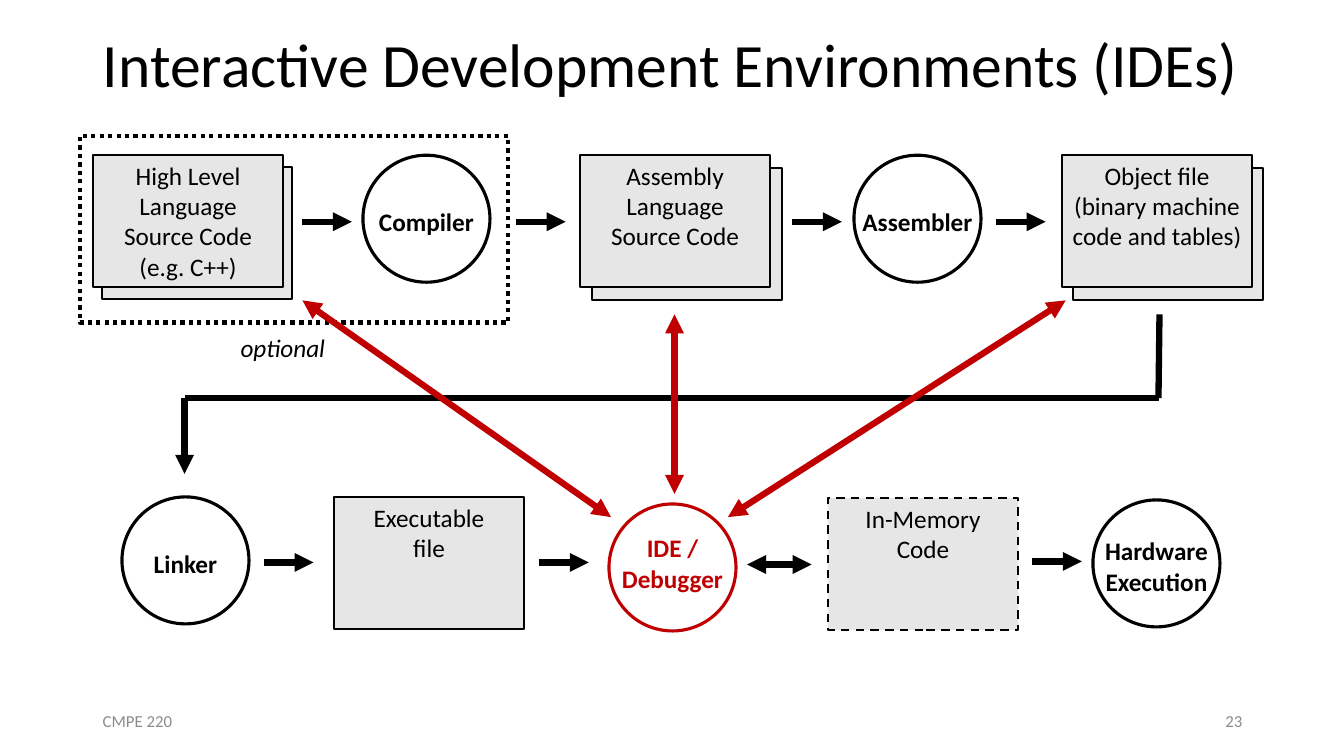
import dataclasses

import pptx
import pptx.dml.color
import pptx.enum.dml
import pptx.enum.shapes
import pptx.enum.text
import pptx.oxml
import pptx.oxml.ns
import pptx.util

Inches = pptx.util.Inches
Pt = pptx.util.Pt
Align = pptx.enum.text.PP_ALIGN
Anchor = pptx.enum.text.MSO_ANCHOR
Dash = pptx.enum.dml.MSO_LINE
Shape = pptx.enum.shapes.MSO_SHAPE


@dataclasses.dataclass(frozen=True)
class Theme:
    """Colours, type sizes and line widths of the slide."""
    font: str = "Calibri"
    ink: str = "000000"
    accent: str = "C00000"
    panel: str = "E7E6E6"
    muted: str = "8C8C8C"
    title: float = 44
    body: float = 18
    footer: float = 12
    panel_line: float = 1.5
    circle_line: float = 2.25
    group_line: float = 3
    arrow_line: float = 4.5


THEME = Theme()
FILE_W, FILE_H = 1.89, 1.31
CIRCLE = 1.26
TOP_ROW = 1.54
TOP_ARROWS = 2.2


def rgb(value):
    """Turn a hex string into a colour."""
    return pptx.dml.color.RGBColor.from_string(value)


def write(frame, text, size=THEME.body, color=THEME.ink, bold=False, italic=False,
          align=Align.CENTER, anchor=Anchor.TOP, wrap=True, spacing=None):
    """Put formatted text in a frame, one paragraph per line."""
    frame.text = text
    frame.word_wrap = wrap
    frame.auto_size = pptx.enum.text.MSO_AUTO_SIZE.NONE
    frame.vertical_anchor = anchor
    for paragraph in frame.paragraphs:
        paragraph.alignment = align
        paragraph.line_spacing = spacing
        for run in paragraph.runs:
            run.font.name = THEME.font
            run.font.size = Pt(size)
            run.font.bold = bold
            run.font.italic = italic
            run.font.color.rgb = rgb(color)


def add_label(slide, box, text, **style):
    """Add a text box at left, top, width, height."""
    label = slide.shapes.add_textbox(*map(Inches, box))
    write(label.text_frame, text, **style)


def add_outline(slide, kind, box, width, color=THEME.ink, fill=None, dash=None):
    """Add a preset shape with a line and an optional fill."""
    outline = slide.shapes.add_shape(kind, *map(Inches, box))
    outline.shadow.inherit = False
    if fill:
        outline.fill.solid()
        outline.fill.fore_color.rgb = rgb(fill)
    else:
        outline.fill.background()
    outline.line.color.rgb = rgb(color)
    outline.line.width = Pt(width)
    if dash:
        outline.line.dash_style = dash
    return outline


def add_file(slide, left, top, text, stack=None, dash=None):
    """Add a file panel, with a second sheet behind it at the stack offset."""
    offsets = [stack, (0, 0)] if stack else [(0, 0)]
    for dx, dy in offsets:
        sheet = add_outline(slide, Shape.RECTANGLE, (left + dx, top + dy, FILE_W, FILE_H),
                            THEME.panel_line, fill=THEME.panel, dash=dash)
    write(sheet.text_frame, text)


def add_step(slide, left, top, text, color=THEME.ink, label_shift=0.03, label_height=0.4):
    """Add a process circle with a bold label over its centre."""
    add_outline(slide, Shape.OVAL, (left, top, CIRCLE, CIRCLE), THEME.circle_line, color)
    label_top = top + (CIRCLE - label_height) / 2 + label_shift
    add_label(slide, (left, label_top, CIRCLE, label_height), text,
              color=color, bold=True, wrap=" " in text)


def add_flow(slide, start, end, color=THEME.ink, head=False, tail=True):
    """Add a thick line with triangle arrowheads at the chosen ends."""
    flow = slide.shapes.add_connector(pptx.enum.shapes.MSO_CONNECTOR.STRAIGHT,
                                      *map(Inches, (*start, *end)))
    flow.line.color.rgb = rgb(color)
    flow.line.width = Pt(THEME.arrow_line)
    stroke = flow.line._get_or_add_ln()
    for tag, wanted in (("a:headEnd", head), ("a:tailEnd", tail)):
        if wanted:
            arrowhead = pptx.oxml.ns.qn(tag)
            stroke.append(stroke.makeelement(arrowhead, {"type": "triangle"}))
    properties = flow._element.spPr
    properties.append(properties.makeelement(pptx.oxml.ns.qn("a:effectLst"), {}))


def add_flows(slide, lefts, y, length=0.49):
    """Add equal horizontal arrows along one height."""
    for left in lefts:
        add_flow(slide, (left, y), (left + length, y))


def build_title(slide, box):
    """Place and format the title."""
    title = slide.shapes.title
    title.left, title.top, title.width, title.height = map(Inches, box)
    write(title.text_frame, "Interactive Development Environments (IDEs)",
          size=THEME.title, align=Align.LEFT, anchor=Anchor.MIDDLE, spacing=0.9)


def build_translation(slide, left, top):
    """Build the upper row, from source code to object file."""
    add_file(slide, left, top, "High Level Language Source Code\v(e.g. C++)", stack=(0.09, 0.12))
    add_step(slide, left + 2.68, top, "Compiler")
    add_file(slide, left + 4.83, top, "Assembly Language Source Code", stack=(0.12, 0.13))
    add_step(slide, left + 7.55, top, "Assembler")
    add_file(slide, left + 9.61, top, "Object file\v(binary machine code and tables)",
             stack=(0.11, 0.13))
    add_flows(slide, [left + dx for dx in (2.08, 4.2, 6.94, 8.96)], TOP_ARROWS)
    add_outline(slide, Shape.RECTANGLE, (left - 0.13, top - 0.19, 4.25, 1.85),
                THEME.group_line, dash=Dash.ROUND_DOT)
    add_label(slide, (left + 1.36, top + 1.71, 1.05, 0.4), "optional", italic=True, wrap=False)


def build_execution(slide, left, top):
    """Build the lower row, from linker to hardware."""
    add_step(slide, left, top, "Linker")
    add_file(slide, left + 2.1, top, "Executable\nfile")
    add_step(slide, left + 4.83, top + 0.07, "IDE / Debugger", color=THEME.accent,
             label_shift=-0.04, label_height=0.71)
    add_file(slide, left + 7, top + 0.01, "In-Memory\nCode", dash=Dash.DASH)
    add_step(slide, left + 9.63, top + 0.03, "Hardware\vExecution", label_height=0.71)
    add_flows(slide, (left + 1.41, left + 4.14), top + 0.65)
    add_flows(slide, [left + 9.03], top + 0.64)
    add_flow(slide, (left + 6.2, top + 0.67), (left + 6.84, top + 0.67), head=True)


def build_links(slide):
    """Join the rows: object file to linker, and debugger to the sources."""
    add_flow(slide, (1.83, 3.95), (11.5, 3.95), tail=False)
    add_flow(slide, (11.5, 3.12), (11.49, 3.95), tail=False)
    add_flow(slide, (1.83, 3.95), (1.83, 4.7))
    for debugger, source in (((6.06, 5.13), (3, 2.98)),
                             ((7.22, 5.13), (10.57, 2.98)),
                             ((6.69, 4.9), (6.69, 3.12))):
        add_flow(slide, debugger, source, color=THEME.accent, head=True)


def build_footer(slide, left, top, width):
    """Add the course name and the slide number."""
    for text, x, align in (("CMPE 220", left, Align.LEFT),
                           ("23", left + width - 3, Align.RIGHT)):
        add_label(slide, (x, top, 3, 0.4), text, size=THEME.footer, color=THEME.muted,
                  align=align, anchor=Anchor.MIDDLE)


def main():
    """Build the slide and save it."""
    deck = pptx.Presentation()
    deck.slide_width, deck.slide_height = Inches(13.33), Inches(7.5)
    slide = deck.slides.add_slide(deck.slide_layouts[5])
    build_title(slide, (0.92, 0, 11.5, 1.35))
    build_translation(slide, 0.92, TOP_ROW)
    build_execution(slide, 1.21, 4.93)
    build_links(slide)
    build_footer(slide, 0.92, 6.95, 11.5)
    deck.save("out.pptx")


if __name__ == "__main__":
    main()
